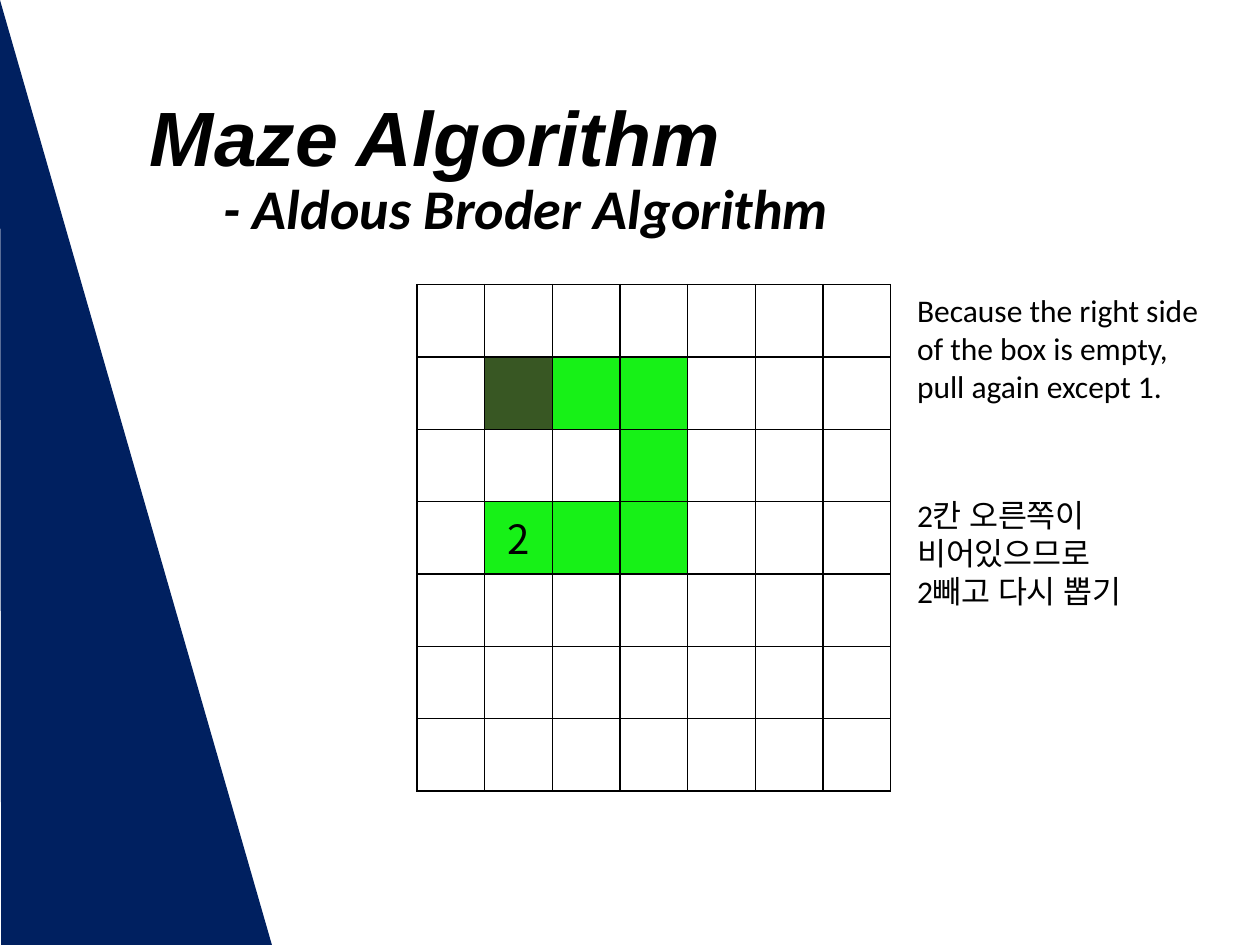
from dataclasses import dataclass

from lxml import etree
from pptx import Presentation
from pptx import util as u
from pptx.dml.color import RGBColor
from pptx.enum import text
from pptx.oxml.ns import qn

PX = 9144  # 100 px to the inch
COLORS = {
    "navy": "002060",
    "black": "000000",
    "white": "FFFFFF",
    "start": "385723",
    "visited": "17F117",
}
KOREAN = "Noto Sans CJK KR"


@dataclass
class Box:
    left: int
    top: int
    width: int
    height: int

    def emu(self) -> tuple:
        return tuple(v * PX for v in (self.left, self.top, self.width, self.height))


@dataclass
class Note:
    box: Box
    lines: str


def rgb(name: str) -> RGBColor:
    return RGBColor.from_string(COLORS[name])


def style(tf, size: int, font: str, bold: bool = False) -> None:
    """Format every run of a text frame; bold headings are italic too."""
    for p in tf.paragraphs:
        for r in p.runs:
            r.font.size = u.Pt(size)
            r.font.bold = r.font.italic = bold
            r.font.color.rgb = rgb("black")
            r.font.name = font
            etree.SubElement(r._r.get_or_add_rPr(), qn("a:ea"), typeface=KOREAN)


def fill_heading(sp, box: Box, words: str, size: int, font: str, anchor):
    sp.left, sp.top, sp.width, sp.height = box.emu()
    tf = sp.text_frame
    tf.text = words
    tf.auto_size = text.MSO_AUTO_SIZE.NONE
    tf.vertical_anchor = anchor
    p = tf.paragraphs[0]
    p.alignment = text.PP_ALIGN.LEFT
    p.line_spacing = 0.9
    style(tf, size, font, bold=True)
    return p


def add_note(slide, note: Note) -> None:
    tf = slide.shapes.add_textbox(*note.box.emu()).text_frame
    tf.word_wrap = True
    tf.auto_size = text.MSO_AUTO_SIZE.SHAPE_TO_FIT_TEXT
    tf.text = note.lines
    style(tf, 18, "Calibri")


def add_borders(cell) -> None:
    tcPr = cell._tc.get_or_add_tcPr()
    for side in ("lnL", "lnR", "lnT", "lnB"):
        ln = etree.SubElement(tcPr, qn(f"a:{side}"), w=str(u.Pt(1)))
        fill = etree.SubElement(ln, qn("a:solidFill"))
        etree.SubElement(fill, qn("a:srgbClr"), val=COLORS["black"])


def add_maze(slide, box: Box, size: int, fills: dict):
    table = slide.shapes.add_table(size, size, *box.emu()).table
    table.first_row = table.horz_banding = False
    for row in range(size):
        table.rows[row].height = box.height * PX // size
        table.columns[row].width = box.width * PX // size
        for col in range(size):
            cell = table.cell(row, col)
            add_borders(cell)
            if (row, col) in fills:
                cell.fill.solid()
                cell.fill.fore_color.rgb = rgb(fills[row, col])
            else:
                cell.fill.background()
    return table


def main() -> None:
    prs = Presentation()
    prs.slide_width, prs.slide_height = 1000 * PX, 750 * PX
    slide = prs.slides.add_slide(prs.slide_layouts[1])
    title, body = slide.placeholders

    # Title
    fill_heading(title, Box(109, 40, 862, 145), "Maze Algorithm", 44, "Arial",
                 text.MSO_ANCHOR.MIDDLE)

    # Navy wedge on the left
    builder = slide.shapes.build_freeform(0, 0, scale=PX)
    builder.add_line_segments([(217, 754), (1, 752)], close=True)
    wedge = builder.convert_to_shape()
    wedge.shadow.inherit = False
    wedge.fill.solid()
    wedge.fill.fore_color.rgb = rgb("navy")
    wedge.line.fill.background()

    # Subtitle, without a bullet
    p = fill_heading(body, Box(167, 139, 547, 145), "- Aldous Broder Algorithm",
                     32, "Calibri", text.MSO_ANCHOR.TOP)
    p.space_before = u.Pt(10)
    pPr = p._p.get_or_add_pPr()
    pPr.set("marL", "0")
    pPr.set("indent", "0")
    etree.SubElement(pPr, qn("a:buNone"))

    # Maze grid with the visited path
    visited = [(1, 2), (1, 3), (2, 3), (3, 3), (3, 2), (3, 1)]
    fills = {(1, 1): "start", (2, 2): "white", **dict.fromkeys(visited, "visited")}
    maze = add_maze(slide, Box(331, 226, 376, 402), 7, fills)
    tf = maze.cell(*visited[-1]).text_frame
    tf.text = "2"
    tf.paragraphs[0].alignment = text.PP_ALIGN.CENTER
    style(tf, 23, KOREAN)

    # Notes in both languages
    for note in (
        Note(Box(718, 226, 254, 101),
             "Because the right side of the box is empty, pull again except 1."),
        Note(Box(718, 389, 254, 101), "2칸 오른쪽이\n비어있으므로\n2빼고 다시 뽑기"),
    ):
        add_note(slide, note)

    prs.save("out.pptx")


if __name__ == "__main__":
    main()
